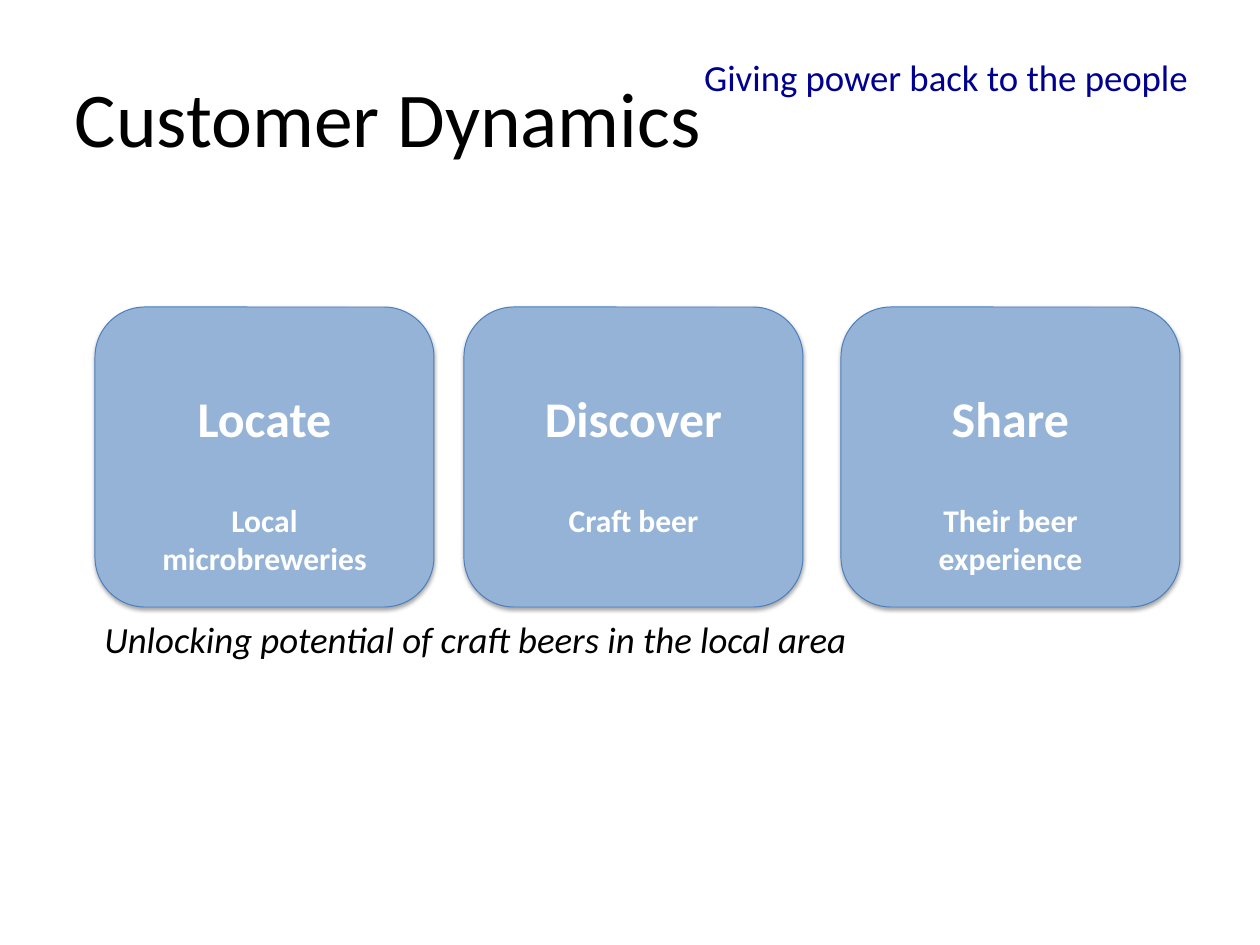
from dataclasses import dataclass
from lxml.etree import SubElement
from pptx import Presentation
from pptx.dml.color import RGBColor
from pptx.enum.shapes import MSO_SHAPE
from pptx.enum.text import MSO_ANCHOR, PP_ALIGN
from pptx.oxml.ns import qn
from pptx.util import Emu, Pt

SCALE = 914400 / 94.6


def px(n):
    return Emu(round(n * SCALE))


@dataclass(frozen=True)
class Theme:
    font: str = "Calibri"
    ink: str = "000000"
    navy: str = "000090"
    white: str = "FFFFFF"
    fill: str = "95B3D7"
    edge: str = "4B7EBC"
    title: int = 59
    head: int = 38
    body: int = 28
    label: int = 24


class Deck:
    def __init__(self, theme, wide, high):
        self.theme = theme
        self.show = Presentation()
        self.show.slide_width, self.show.slide_height = px(wide), px(high)
        self.slide = self.show.slides.add_slide(self.show.slide_layouts[6])

    def letter(self, shape, words, size, color, align=PP_ALIGN.LEFT,
               anchor=MSO_ANCHOR.TOP, bold=False, italic=False, space=1.0):
        """Put one styled paragraph into the shape and return its frame."""
        frame = shape.text_frame
        frame.word_wrap = True
        frame.vertical_anchor = anchor
        para = frame.paragraphs[0]
        para.alignment = align
        para.line_spacing = space
        run = para.add_run()
        run.text = words
        font = run.font
        font.name, font.size = self.theme.font, Pt(size)
        font.bold, font.italic = bold, italic
        font.color.rgb = RGBColor.from_string(color)
        return frame

    def text(self, box, words, size, color, **style):
        shape = self.slide.shapes.add_textbox(*map(px, box))
        return self.letter(shape, words, size, color, **style)

    def shade(self, shape):
        """Give the shape a soft shadow straight below it."""
        shape.shadow.inherit = False
        effects = shape._element.spPr.find(qn("a:effectLst"))
        outer = SubElement(effects, qn("a:outerShdw"), blurRad=str(Pt(3.1)),
                           dist=str(Pt(1.8)), dir="5400000", rotWithShape="0")
        color = SubElement(outer, qn("a:srgbClr"), val=self.theme.ink)
        SubElement(color, qn("a:alpha"), val="35000")

    def card(self, left, top, head, label):
        look = self.theme
        shape = self.slide.shapes.add_shape(
            MSO_SHAPE.ROUNDED_RECTANGLE, *map(px, (left, top, 339, 300)))
        shape.fill.solid()
        shape.fill.fore_color.rgb = RGBColor.from_string(look.fill)
        shape.line.color.rgb = RGBColor.from_string(look.edge)
        shape.line.width = Pt(0.75)
        self.shade(shape)
        style = dict(align=PP_ALIGN.CENTER, bold=True)
        frame = self.letter(shape, head, look.head, look.white, **style)
        frame.margin_top = px(66)
        self.text((left + 24, top + 189, 291, 86), label,
                  look.label, look.white, **style)


def main():
    look = Theme()
    deck = Deck(look, 1260, 945)
    title = deck.text((63, 38, 1134, 157), "Customer Dynamics",
                      look.title, look.ink, anchor=MSO_ANCHOR.MIDDLE)
    title.margin_left = title.margin_right = px(12)
    title.margin_top = title.margin_bottom = px(7)
    deck.text((568, 43, 629, 74), "Giving power back to the people",
              look.body, look.navy, align=PP_ALIGN.RIGHT,
              anchor=MSO_ANCHOR.MIDDLE, space=0.9)

    cards = (
        (95, "Locate", "Local microbreweries"),
        (464, "Discover", "Craft beer"),
        (841, "Share", "Their beer experience"),
    )
    for left, head, label in cards:
        deck.card(left, 307, head, label)

    deck.text((95, 612, 1080, 54),
              "Unlocking potential of craft beers in the local area",
              look.body, look.ink, italic=True)
    deck.show.save("out.pptx")


if __name__ == "__main__":
    main()
